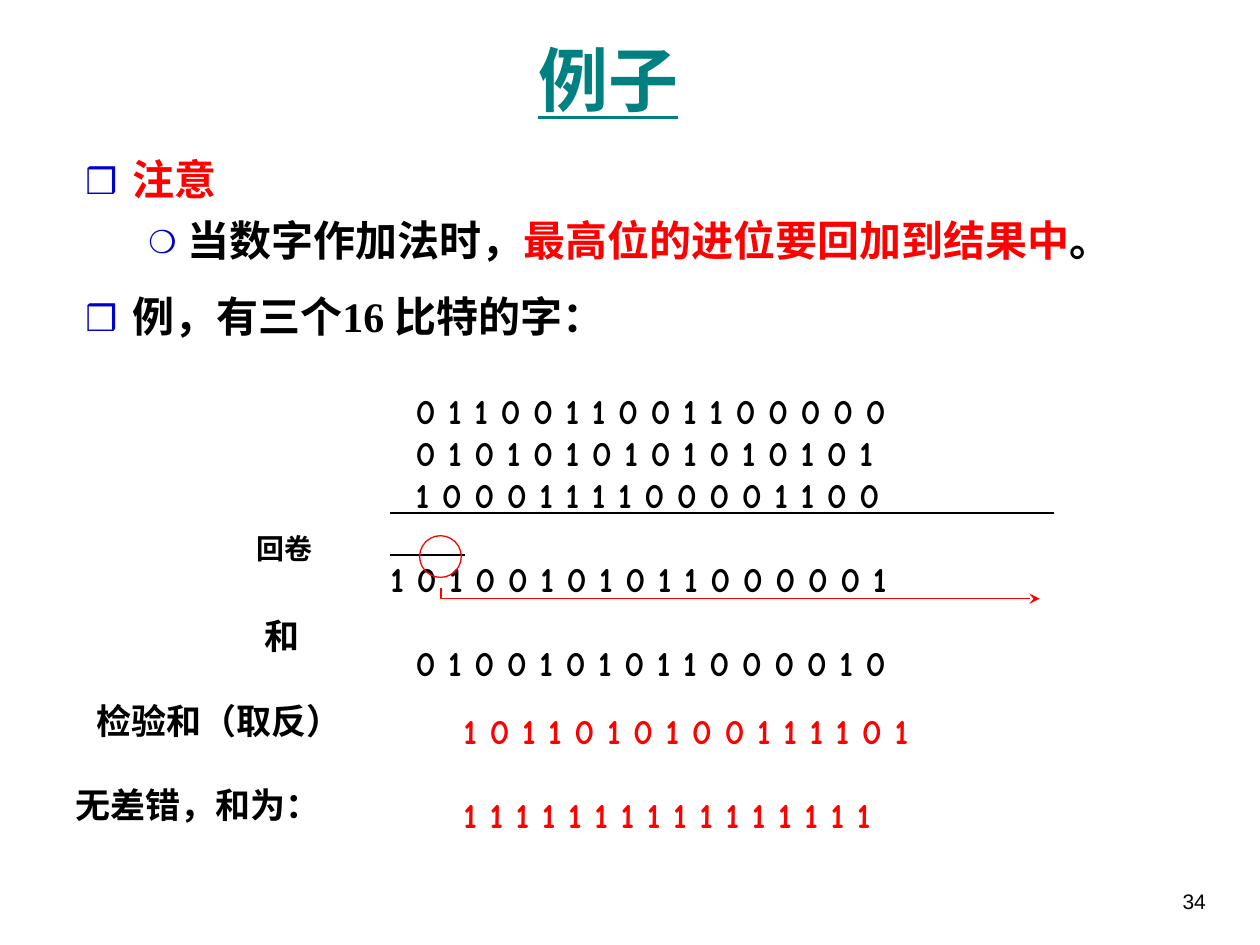
from lxml import etree
from pptx import Presentation
from pptx.dml.color import RGBColor
from pptx.enum.shapes import MSO_CONNECTOR, MSO_SHAPE
from pptx.enum.text import MSO_ANCHOR, PP_ALIGN
from pptx.oxml.ns import qn
from pptx.util import Cm, Pt

BLACK = RGBColor(0, 0, 0)
RED = RGBColor(255, 0, 0)
TEAL = RGBColor(0, 128, 128)
BULLET_BLUE = "0000CC"
TOP, MIDDLE = MSO_ANCHOR.TOP, MSO_ANCHOR.MIDDLE
LEFT, CENTER, RIGHT = PP_ALIGN.LEFT, PP_ALIGN.CENTER, PP_ALIGN.RIGHT

CJK, SERIF, COMIC = "Noto Sans CJK SC", "Times New Roman", "Comic Neue"

# bullet, bullet size %, text margin, hanging indent (cm), line spacing, runs
POINTS = [
    ("❒", 85, 0.95, 0.95, 1.0, [("注意", RED, CJK)]),
    ("❍", 75, 2.06, 0.79, 1.0, [
        ("当数字作加法时，", BLACK, CJK),
        ("最高位的进位要回加到结果中", RED, CJK),
        ("。", BLACK, CJK)]),
    ("❒", 85, 0.95, 0.95, 1.3, [
        ("例，有三个", BLACK, CJK),
        ("16 比特", BLACK, SERIF),
        ("的字：", BLACK, CJK)]),
]
# digits, whether the row starts with the carry bit, space before (pt)
SUM_ROWS = [
    ("0 1 1 0 0 1 1 0 0 1 1 0 0 0 0 0", False, 0),
    ("0 1 0 1 0 1 0 1 0 1 0 1 0 1 0 1", False, 0),
    ("1 0 0 0 1 1 1 1 0 0 0 0 1 1 0 0", False, 0),
    ("1 0 1 0 0 1 0 1 0 1 1 0 0 0 0 0 1", True, 24),
    ("0 1 0 0 1 0 1 0 1 1 0 0 0 0 1 0", False, 24),
]
CARRY_WIDTH = 0.51
# text, left, top, width, height (cm), size, font, colour
LABELS = [
    ("回卷", 4.93, 10.59, 1.75, 0.94, 16, COMIC, BLACK),
    ("和", 5.08, 12.27, 1.22, 1.12, 20, COMIC, BLACK),
    ("检验和（取反）", 1.7, 13.97, 5.46, 1.12, 20, COMIC, BLACK),
    ("无差错，和为：", 1.27, 15.67, 5.72, 1.12, 20, CJK, BLACK),
    ("1 0 1 1 0 1 0 1 0 0 1 1 1 1 0 1", 9.09, 14.17, 12.27, 1.12, 20, COMIC, RED),
    ("1 1 1 1 1 1 1 1 1 1 1 1 1 1 1 1", 9.09, 15.88, 12.27, 1.12, 20, COMIC, RED),
]
# left, right, height on the slide (cm)
SUM_RULES = [(7.86, 21.25, 10.34), (7.86, 9.37, 11.19)]
CARRY_PATH = [(8.89, 11.86), (8.89, 12.07), (20.96, 12.07)]


def add_box(slide, left, top, width, height, anchor=TOP):
    box = slide.shapes.add_textbox(Cm(left), Cm(top), Cm(width), Cm(height))
    box.text_frame.word_wrap = True
    box.text_frame.vertical_anchor = anchor
    return box.text_frame


def next_para(frame, index):
    return frame.paragraphs[0] if index == 0 else frame.add_paragraph()


def add_span(para, text, size, font, color, bold=True, underline=False):
    span = para.add_run()
    span.text = text
    span.font.size = Pt(size)
    span.font.name = font
    span.font.bold = bold
    span.font.underline = underline
    span.font.color.rgb = color
    etree.SubElement(span.font._element, qn("a:ea"), typeface=CJK)


def set_indent(para, margin, first_line):
    properties = para._p.get_or_add_pPr()
    properties.set("marL", str(Cm(margin)))
    properties.set("indent", str(Cm(first_line)))
    return properties


def set_bullet(properties, mark, percent):
    color = etree.SubElement(properties, qn("a:buClr"))
    etree.SubElement(color, qn("a:srgbClr"), val=BULLET_BLUE)
    etree.SubElement(properties, qn("a:buSzPct"), val=str(percent * 1000))
    etree.SubElement(properties, qn("a:buFont"), typeface=CJK)
    etree.SubElement(properties, qn("a:buChar"), char=mark)


def add_points(slide):
    frame = add_box(slide, 1.47, 2.97, 21.59, 9.32)
    for index, (mark, percent, margin, hang, spacing, spans) in enumerate(POINTS):
        para = next_para(frame, index)
        set_bullet(set_indent(para, margin, -hang), mark, percent)
        para.line_spacing = spacing
        para.space_before = Pt(6 if index else 0)
        for text, color, font in spans:
            add_span(para, text, 24, font, color)


def add_sum(slide):
    frame = add_box(slide, 7.62, 7.72, 13.94, 7.87)
    for index, (digits, has_carry, gap) in enumerate(SUM_ROWS):
        para = next_para(frame, index)
        set_indent(para, CARRY_WIDTH, -CARRY_WIDTH if has_carry else 0)
        para.space_before = Pt(gap)
        add_span(para, digits, 20, COMIC, BLACK)
    for left, right, y in SUM_RULES:
        rule = slide.shapes.add_connector(
            MSO_CONNECTOR.STRAIGHT, Cm(left), Cm(y), Cm(right), Cm(y))
        rule.line.color.rgb = BLACK
        rule.line.width = Pt(1.25)
        etree.SubElement(rule._element.spPr, qn("a:effectLst"))


def style_outline(shape):
    shape.shadow.inherit = False
    shape.fill.background()
    shape.line.color.rgb = RED
    shape.line.width = Pt(0.75)


def add_carry_marks(slide):
    circle = slide.shapes.add_shape(
        MSO_SHAPE.OVAL, Cm(8.46), Cm(10.8), Cm(0.84), Cm(0.84))
    style_outline(circle)
    start, *rest = [(Cm(x), Cm(y)) for x, y in CARRY_PATH]
    builder = slide.shapes.build_freeform(*start)
    builder.add_line_segments(rest, close=False)
    arrow = builder.convert_to_shape()
    style_outline(arrow)
    etree.SubElement(arrow.line._get_or_add_ln(), qn("a:tailEnd"), type="stealth")


def main():
    deck = Presentation()
    deck.slide_width, deck.slide_height = Cm(25.4), Cm(19.05)
    slide = deck.slides.add_slide(deck.slide_layouts[6])

    title = add_box(slide, 1.47, 0.64, 21.59, 1.9, MIDDLE).paragraphs[0]
    title.alignment = CENTER
    add_span(title, "例子", 40, SERIF, TEAL, underline=True)

    add_points(slide)
    add_sum(slide)
    add_carry_marks(slide)
    for text, left, top, width, height, size, font, color in LABELS:
        frame = add_box(slide, left, top, width, height)
        add_span(frame.paragraphs[0], text, size, font, color)

    number = add_box(slide, 22.68, 17.78, 1.88, 1.27).paragraphs[0]
    number.alignment = RIGHT
    add_span(number, "34", 12, "Arial", BLACK, bold=False)
    deck.save("out.pptx")


if __name__ == "__main__":
    main()
